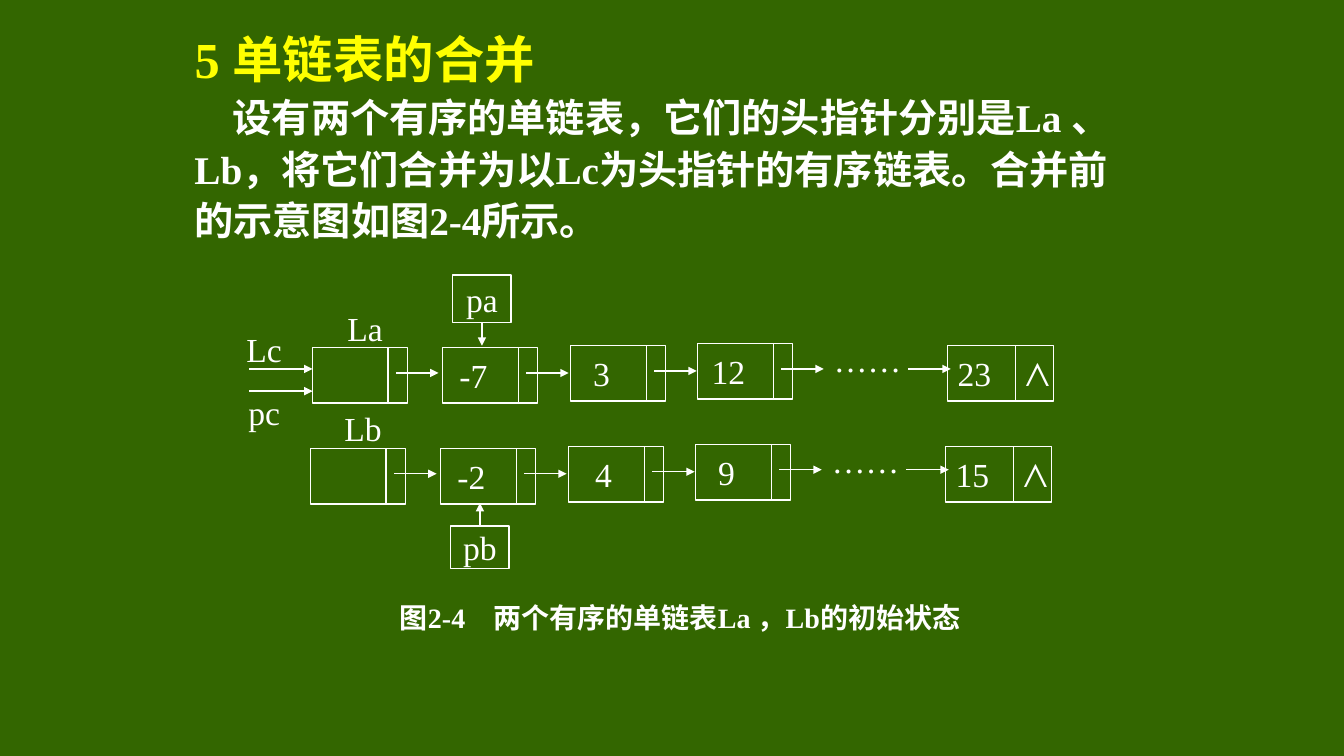
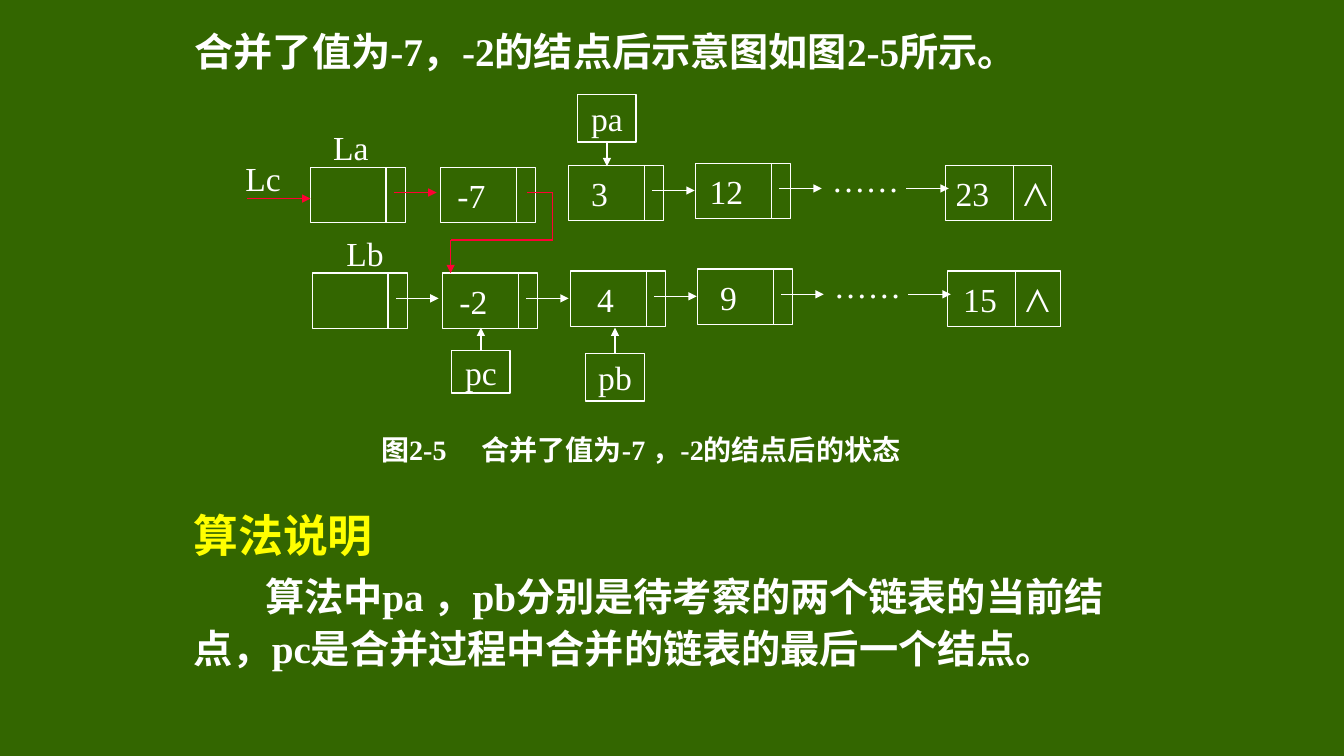
from itertools import pairwise

from lxml import etree
from pptx import Presentation
from pptx.dml.color import RGBColor
from pptx.enum.shapes import MSO_CONNECTOR, MSO_SHAPE
from pptx.enum.text import MSO_ANCHOR, MSO_AUTO_SIZE, PP_ALIGN
from pptx.oxml.ns import qn
from pptx.util import Inches, Pt

STRAIGHT = MSO_CONNECTOR.STRAIGHT
RECTANGLE = MSO_SHAPE.RECTANGLE
TOP, MIDDLE = MSO_ANCHOR.TOP, MSO_ANCHOR.MIDDLE
LEFT, CENTER = PP_ALIGN.LEFT, PP_ALIGN.CENTER
NO_AUTOSIZE = MSO_AUTO_SIZE.NONE
SIDE_TOP, SIDE_BOTTOM = 0, 2
TITLE_ONLY = 5

GREEN, WHITE, YELLOW, RED = "336600", "FFFFFF", "FFFF00", "FF0033"
LATIN, EAST_ASIAN = "Times New Roman", "Noto Sans CJK SC"

# Node geometry in grid units: offsets are measured from the row's head node
NODE_WIDTH, NODE_HEIGHT = 9.4, 5.5
NODE_OFFSETS = ((0, 0), (12.9, 0), (25.6, -0.2), (38.2, -0.4))
DIVIDER, LAST_DIVIDER = 7.5, 6.7
LINK_START, LINK_LENGTH = 8.3, 4.2
VALUE_PAD = 3.3
POINTER_WIDTH = 5.8


def grid(units):
    """Ten columns or rows of the grid make one inch."""
    return Inches(units / 10)


def color(hex_string):
    return RGBColor.from_string(hex_string)


def set_attributes(target, values):
    for name, value in values.items():
        setattr(target, name, value)


# Text
def format_frame(frame, anchor, wrap, margins):
    left, top, right, bottom = map(grid, margins)
    set_attributes(frame, {
        "auto_size": NO_AUTOSIZE, "word_wrap": wrap, "vertical_anchor": anchor,
        "margin_left": left, "margin_top": top,
        "margin_right": right, "margin_bottom": bottom})


def add_run(paragraph, text, size, hex_string=WHITE, bold=False, gap=0):
    run = paragraph.add_run()
    run.text = text
    set_attributes(run.font, {"name": LATIN, "size": Pt(size), "bold": bold})
    run.font.color.rgb = color(hex_string)
    properties = run._r.get_or_add_rPr()
    if bold:
        etree.SubElement(properties, qn("a:ea"), typeface=EAST_ASIAN)
    if gap:
        properties.set("spc", str(gap * 100))


def add_text_box(slide, box, anchor=MIDDLE, wrap=True, margins=(1, 0.5, 1, 0.5)):
    shape = slide.shapes.add_textbox(*map(grid, box))
    format_frame(shape.text_frame, anchor, wrap, margins)
    return shape.text_frame


def fill_paragraph(paragraph, text, size, hex_string=WHITE, indent=0, before=0):
    set_attributes(paragraph, {
        "alignment": LEFT, "line_spacing": 1.1, "space_before": Pt(before)})
    if indent:
        paragraph._p.get_or_add_pPr().set("indent", str(grid(indent)))
    add_run(paragraph, text, size, hex_string, bold=True)


def set_title(slide, text, size, hex_string, height):
    title = slide.shapes.title
    set_attributes(title, {"left": grid(18.3), "top": grid(1.7),
                           "width": grid(95.8), "height": grid(height)})
    format_frame(title.text_frame, TOP, True, (1, 0.5, 1, 0.5))
    fill_paragraph(title.text_frame.paragraphs[0], text, size, hex_string)


def add_label(slide, box, text, right_pad=0):
    frame = add_text_box(slide, box, wrap=False, margins=(0, 0, right_pad, 0))
    frame.paragraphs[0].alignment = CENTER
    add_run(frame.paragraphs[0], text, 24)


def add_caption(slide, box, number, gap, text):
    paragraph = add_text_box(slide, box).paragraphs[0]
    paragraph.alignment = CENTER
    add_run(paragraph, number, 20, bold=True)
    add_run(paragraph, " ", 20, bold=True, gap=gap)
    add_run(paragraph, text, 20, bold=True)


# Boxes and lines
def add_box(slide, box, text="", right_pad=0):
    shape = slide.shapes.add_shape(RECTANGLE, *map(grid, box))
    shape.shadow.inherit = False
    shape.fill.background()
    shape.line.color.rgb = color(WHITE)
    shape.line.width = Pt(1)
    format_frame(shape.text_frame, MIDDLE, False, (0, 0, right_pad, 0))
    if text:
        shape.text_frame.paragraphs[0].alignment = CENTER
        add_run(shape.text_frame.paragraphs[0], text, 24)
    return shape


def add_line(slide, start, end, hex_string=WHITE, arrow=False):
    line = slide.shapes.add_connector(STRAIGHT, *map(grid, (*start, *end)))
    line.line.color.rgb = color(hex_string)
    line.line.width = Pt(1)
    if arrow:
        etree.SubElement(line.line._get_or_add_ln(), qn("a:tailEnd"), type="triangle")
    etree.SubElement(line._element.spPr, qn("a:effectLst"))
    return line


def add_link(slide, x, y, length=LINK_LENGTH, hex_string=WHITE):
    add_line(slide, (x, y), (x + length, y), hex_string, arrow=True)


def add_pointer(slide, name, left, top, height, target_y):
    """A named box whose arrow points up or down to a node."""
    box = add_box(slide, (left, top, POINTER_WIDTH, height), name)
    below = target_y < top
    middle = left + POINTER_WIDTH / 2
    arrow = add_line(slide, (middle, top if below else top + height),
                     (middle, target_y), arrow=True)
    arrow.begin_connect(box, SIDE_TOP if below else SIDE_BOTTOM)


# Linked list
def add_node(slide, x, y, width, value, right_pad, divider):
    add_box(slide, (x, y, width, NODE_HEIGHT), value, right_pad)
    add_line(slide, (x + divider, y), (x + divider, y + NODE_HEIGHT))


def add_linked_list(slide, x, y, name, values, pads=None, last_width=10.5,
                    last_pad=5.2, label_width=9.2, merged_links=0):
    """A head node, three value nodes, dots and the closing node."""
    add_label(slide, (x + 0.6, y - 4.5, label_width, 5), name)
    pads = pads or {}
    *inner_values, last_value = values
    for index, (value, (dx, dy)) in enumerate(zip(["", *inner_values], NODE_OFFSETS)):
        add_node(slide, x + dx, y + dy, NODE_WIDTH, value,
                 pads.get(value, VALUE_PAD), DIVIDER)
        if index == 0 or index >= merged_links:
            add_link(slide, x + dx + LINK_START, y + dy + 2.5,
                     hex_string=RED if index < merged_links else WHITE)
    add_label(slide, (x + 51.2, y - 1.6, NODE_WIDTH, NODE_HEIGHT), "……", 1.7)
    add_link(slide, x + 59.1, y + 2.1)
    last_x, last_y = x + 63, y - 0.2
    add_node(slide, last_x, last_y, last_width, last_value, last_pad, LAST_DIVIDER)
    add_label(slide, (last_x + 6.8, last_y, 4.2, NODE_HEIGHT), "⋀")


# Slides
def build_initial_state(slide):
    set_title(slide, "5 单链表的合并", 36, YELLOW, 7)
    frame = add_text_box(slide, (18.3, 8.3, 95.8, 17.6), TOP)
    fill_paragraph(
        frame.paragraphs[0],
        "设有两个有序的单链表，它们的头指针分别是La 、 Lb，将它们合并为以Lc为头指针的"
        "有序链表。合并前的示意图如图2-4所示。", 28, indent=3.8)

    add_linked_list(slide, 31, 34.5, "La", ("-7", "3", "12", "23"))
    add_linked_list(slide, 30.8, 44.5, "Lb", ("-2", "4", "9", "15"), {"4": 2.5})
    for name, label_y, link_y in (("Lc", 32.5, 36.6), ("pc", 38.8, 38.8)):
        add_label(slide, (23.3, label_y, POINTER_WIDTH, 4.2), name)
        add_link(slide, 24.7, link_y, 6.3)
    add_pointer(slide, "pa", 44.9, 27.3, 4.7, 34.3)
    add_pointer(slide, "pb", 44.7, 52.2, 4.2, 49.9)
    add_caption(slide, (36.7, 58.8, 61.5, 4.9), "图2-4", 15,
                "两个有序的单链表La ，Lb的初始状态")


def build_merged_state(slide):
    set_title(slide, "合并了值为-7，-2的结点后示意图如图2-5所示。", 28, WHITE, 6.7)

    add_linked_list(slide, 30.8, 16.6, "La", ("-7", "3", "12", "23"),
                    label_width=6.8, merged_links=2)
    add_linked_list(slide, 31, 27.1, "Lb", ("-2", "4", "9", "15"), {"4": 2.5},
                    last_width=11.2, last_pad=4.8)
    # The first list's second link was left out above or drawn red here
    add_label(slide, (23.2, 15.6, POINTER_WIDTH, 4.2), "Lc")
    add_link(slide, 24.5, 19.7, 6.3, RED)
    bends = ((52.3, 19.1), (54.8, 19.1), (54.8, 23.8), (44.7, 23.8), (44.7, 27.1))
    for start, end in pairwise(bends):
        add_line(slide, start, end, RED, arrow=end == bends[-1])
    add_pointer(slide, "pa", 57.3, 9.4, 4.7, 16.5)
    add_pointer(slide, "pc", 44.8, 34.8, 4.2, 32.5)
    add_pointer(slide, "pb", 58.1, 35.1, 4.7, 32.5)
    add_caption(slide, (34.4, 42.2, 58.3, 4.7), "图2-5", 20,
                "合并了值为-7 ，-2的结点后的状态")

    # Explanation of the algorithm
    frame = add_text_box(slide, (18.2, 49.3, 95.8, 18.1), TOP)
    fill_paragraph(frame.paragraphs[0], "算法说明", 32, YELLOW)
    fill_paragraph(
        frame.add_paragraph(),
        "算法中pa ，pb分别是待考察的两个链表的当前结点，pc是合并过程中合并的链表的"
        "最后一个结点。", 28, indent=7.1, before=5)


def main():
    presentation = Presentation()
    set_attributes(presentation, {"slide_width": Inches(13.33),
                                  "slide_height": Inches(7.5)})
    background = presentation.slide_master.background.fill
    background.solid()
    background.fore_color.rgb = color(GREEN)
    layout = presentation.slide_layouts[TITLE_ONLY]
    for build in (build_initial_state, build_merged_state):
        build(presentation.slides.add_slide(layout))
    presentation.save("out.pptx")


if __name__ == "__main__":
    main()
